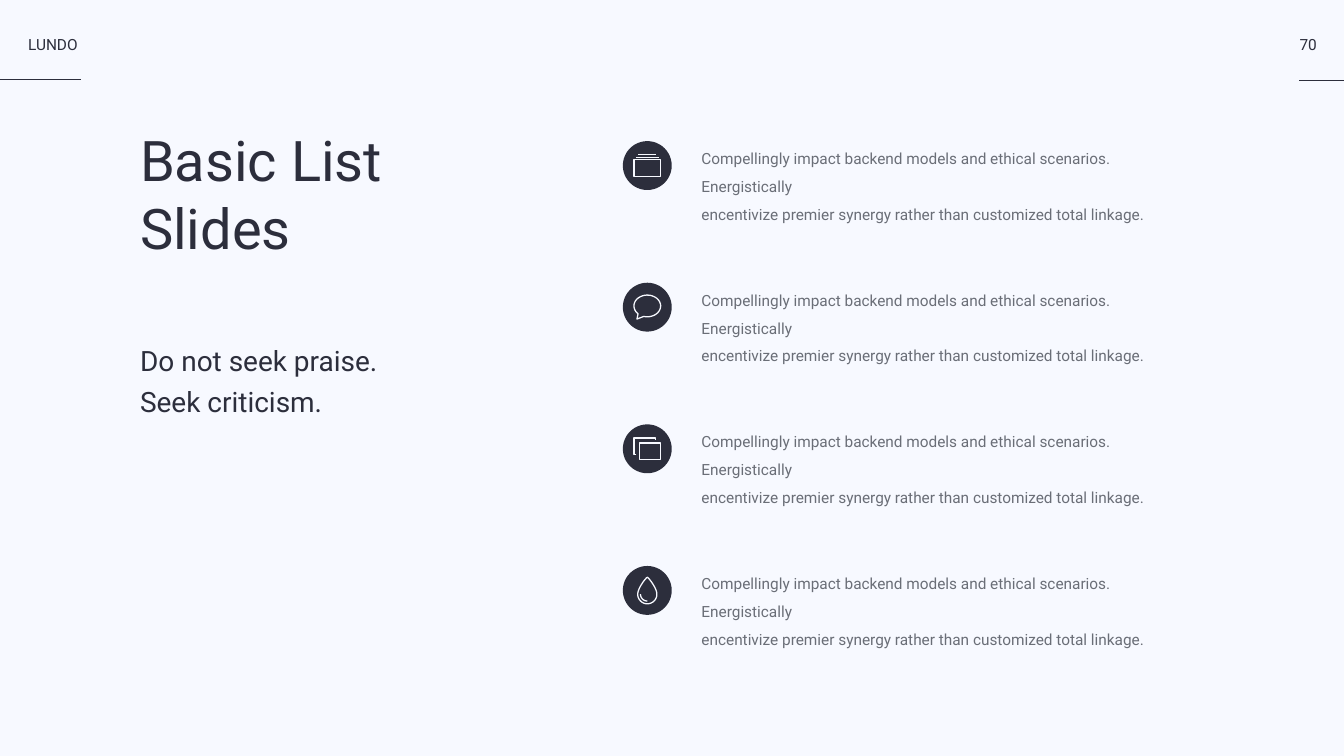
from dataclasses import dataclass
from math import cos, radians, sin

from lxml.etree import SubElement
from pptx import Presentation
from pptx.dml.color import RGBColor
from pptx.enum.shapes import MSO_CONNECTOR, MSO_SHAPE
from pptx.enum.text import PP_ALIGN
from pptx.oxml.ns import qn
from pptx.util import Inches, Pt


@dataclass(frozen=True)
class Theme:
    background: RGBColor = RGBColor(0xF7, 0xF9, 0xFF)
    dark: RGBColor = RGBColor(0x2C, 0x2E, 0x3C)
    muted: RGBColor = RGBColor(0x6A, 0x6E, 0x77)
    font: str = "Roboto"
    title_size: int = 80
    subtitle_size: int = 40
    body_size: int = 22
    rule_width: int = 2
    icon_width: float = 1.8


THEME = Theme()

ITEM_TEXT = (
    "Compellingly impact backend models and ethical scenarios. Energistically\n"
    "encentivize premier synergy rather than customized total linkage."
)
FIRST_TOP, ROW_STEP = 2.8, 2.81
CIRCLE_LEFT, CIRCLE_SIZE = 12.36, 0.97


def add_text(slide, left, top, width, height, text, size, color,
             spacing=1.0, wrap=True, align=PP_ALIGN.LEFT):
    box = slide.shapes.add_textbox(Inches(left), Inches(top), Inches(width), Inches(height))
    frame = box.text_frame
    frame.word_wrap = wrap
    frame.margin_left = frame.margin_right = frame.margin_top = frame.margin_bottom = 0
    frame.text = text
    for paragraph in frame.paragraphs:
        paragraph.alignment = align
        paragraph.line_spacing = spacing
        for run in paragraph.runs:
            run.font.name = THEME.font
            run.font.size = Pt(size)
            run.font.color.rgb = color


def add_rule(slide, start, end, top):
    rule = slide.shapes.add_connector(
        MSO_CONNECTOR.STRAIGHT, Inches(start), Inches(top), Inches(end), Inches(top))
    rule.line.color.rgb = THEME.dark
    rule.line.width = Pt(THEME.rule_width)
    SubElement(rule._element.spPr, qn("a:effectLst"))


def add_circle(slide, left, top, size):
    circle = slide.shapes.add_shape(
        MSO_SHAPE.OVAL, Inches(left), Inches(top), Inches(size), Inches(size))
    circle.shadow.inherit = False
    circle.fill.solid()
    circle.fill.fore_color.rgb = THEME.dark
    circle.line.fill.background()


def add_icon(slide, center_x, center_y, contours):
    """Draw (points, closed) contours, in thousandths of an inch from the centre."""
    builder = None
    for points, closed in contours:
        if builder is None:
            builder = slide.shapes.build_freeform(*points[0], scale=Inches(1) / 1000)
        else:
            builder.move_to(*points[0])
        builder.add_line_segments(points[1:], close=closed)
    icon = builder.convert_to_shape(Inches(center_x), Inches(center_y))
    icon.shadow.inherit = False
    icon.fill.background()
    icon.line.color.rgb = THEME.background
    icon.line.width = Pt(THEME.icon_width)


# Outline helpers
def box_points(left, top, right, bottom):
    return [(left, top), (right, top), (right, bottom), (left, bottom)]


def arc_points(center_y, radius_x, radius_y, start, end, steps=40):
    angles = [radians(start + (end - start) * i / steps) for i in range(steps + 1)]
    return [(round(radius_x * cos(a)), round(center_y + radius_y * sin(a))) for a in angles]


def curve_points(controls, steps=16):
    points = []
    for i in range(steps + 1):
        t = i / steps
        weights = ((1 - t) ** 3, 3 * t * (1 - t) ** 2, 3 * t * t * (1 - t), t ** 3)
        points.append(tuple(round(sum(w * c[axis] for w, c in zip(weights, controls)))
                            for axis in (0, 1)))
    return points


def stack_icon():
    return [(box_points(-265, -115, 265, 210), True),
            ([(-225, -165), (225, -165)], False),
            ([(-175, -215), (175, -215)], False)]


def speech_icon():
    return [(arc_points(-25, 265, 215, 134, 465) + [(-205, 235)], True)]


def windows_icon():
    back = [(-215, 115), (-265, 115), (-265, -215), (165, -215), (165, -165)]
    return [(back, False), (box_points(-160, -115, 265, 215), True)]


def drop_icon():
    right = curve_points([(0, -260), (20, -260), (190, -50), (190, 75)])
    left = [(-x, y) for x, y in reversed(right)]
    bottom = arc_points(75, 190, 190, 0, 180)
    return [(right + bottom[1:] + left[1:-1], True),
            (arc_points(75, 135, 135, 180, 90), False)]


def add_list_item(slide, top, contours):
    add_circle(slide, CIRCLE_LEFT, top, CIRCLE_SIZE)
    add_icon(slide, CIRCLE_LEFT + CIRCLE_SIZE / 2, top + CIRCLE_SIZE / 2, contours)
    add_text(slide, 13.92, top - 0.02, 9.9, 1.01, ITEM_TEXT,
             THEME.body_size, THEME.muted, spacing=1.5)


def main():
    presentation = Presentation()
    presentation.slide_width, presentation.slide_height = Inches(26.67), Inches(15)
    slide = presentation.slides.add_slide(presentation.slide_layouts[6])
    slide.background.fill.solid()
    slide.background.fill.fore_color.rgb = THEME.background

    # Header
    add_rule(slide, 0, 1.61, 1.58)
    add_text(slide, 0.56, 0.69, 1.05, 0.4, "LUNDO", THEME.body_size, THEME.dark, wrap=False)
    add_rule(slide, 25.78, 26.67, 1.6)
    add_text(slide, 25.78, 0.69, 0.36, 0.4, "70", THEME.body_size, THEME.dark,
             wrap=False, align=PP_ALIGN.CENTER)

    # Title and subtitle
    add_text(slide, 2.78, 2.5, 5.19, 2.94, "Basic List\nSlides", THEME.title_size, THEME.dark)
    add_text(slide, 2.78, 6.69, 4.78, 1.62, "Do not seek praise.\nSeek criticism.",
             THEME.subtitle_size, THEME.dark, spacing=1.2)

    # List
    icons = (stack_icon(), speech_icon(), windows_icon(), drop_icon())
    for row, contours in enumerate(icons):
        add_list_item(slide, FIRST_TOP + row * ROW_STEP, contours)

    presentation.save("out.pptx")


if __name__ == "__main__":
    main()
